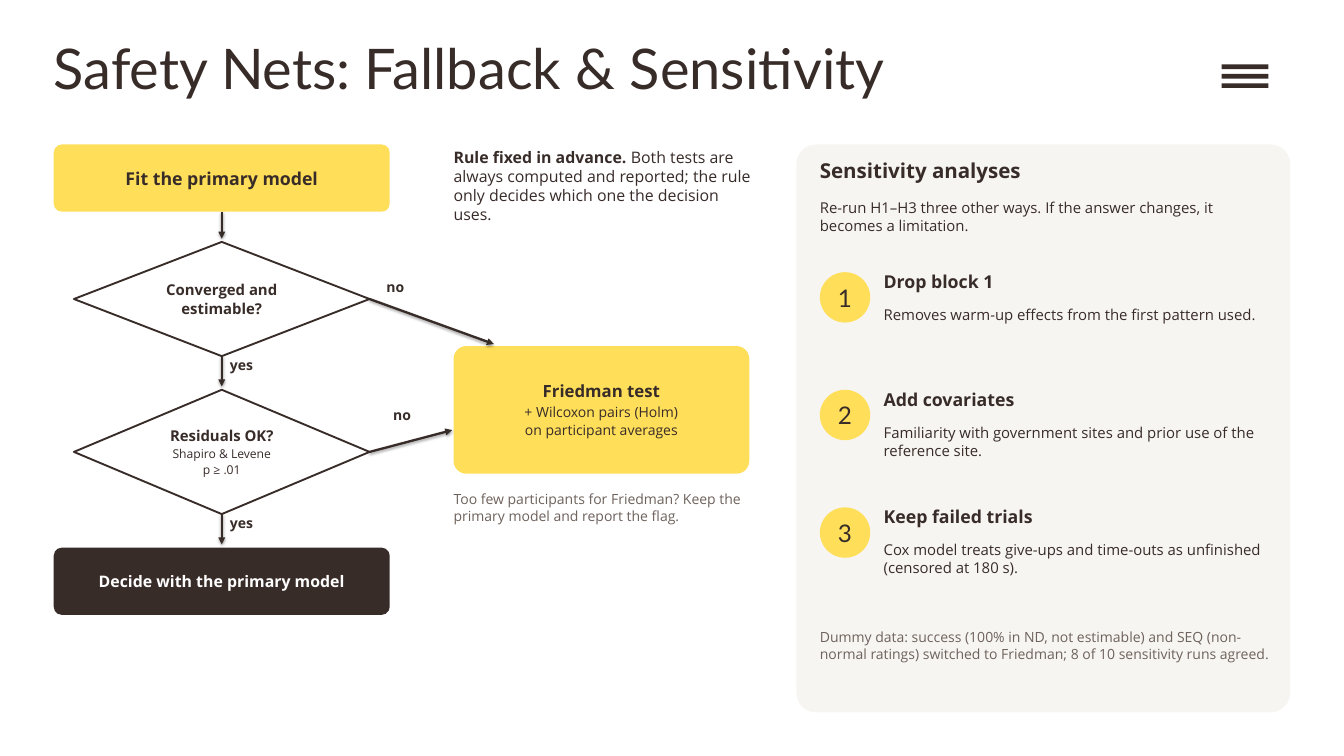
from lxml import etree
from pptx import Presentation
from pptx.dml.color import RGBColor
from pptx.enum.shapes import MSO_CONNECTOR, MSO_SHAPE
from pptx.enum.text import MSO_ANCHOR, MSO_AUTO_SIZE, PP_ALIGN
from pptx.oxml.ns import qn
from pptx.util import Pt

ROUNDED, DIAMOND = MSO_SHAPE.ROUNDED_RECTANGLE, MSO_SHAPE.DIAMOND
OVAL, RECTANGLE = MSO_SHAPE.OVAL, MSO_SHAPE.RECTANGLE
STRAIGHT = MSO_CONNECTOR.STRAIGHT
MIDDLE, CENTER, GROW = MSO_ANCHOR.MIDDLE, PP_ALIGN.CENTER, MSO_AUTO_SIZE.SHAPE_TO_FIT_TEXT
BOTTOM_SIDE, RIGHT_SIDE = 2, 3

COLORS = {"ink": "382C29", "accent": "FFDE59", "paper": "FFFFFF",
          "panel": "F7F5F1", "muted": "6E625C"}
HEADING_FONT, BODY_FONT = "Lato", "Open Sans"

ANALYSES = [
    ("Drop block 1", "Removes warm-up effects from the first pattern used."),
    ("Add covariates",
     "Familiarity with government sites and prior use of the reference site."),
    ("Keep failed trials",
     "Cox model treats give-ups and time-outs as unfinished (censored at 180 s)."),
]


def rgb(name):
    """Return the named colour."""
    return RGBColor.from_string(COLORS[name])


def style(para, size, bold, color, font, after):
    """Set the font and the space after a paragraph."""
    para.space_after = Pt(after)
    para.font.size, para.font.bold, para.font.name = Pt(size), bold, font
    para.font.color.rgb = rgb(color)


def add_text(page, box, text, size, bold=False, color="ink", font=BODY_FONT, lead="", after=6):
    """Add a text box without margins, with an optional bold lead-in."""
    label = page.shapes.add_textbox(*map(Pt, box))
    frame = label.text_frame
    frame.margin_left = frame.margin_top = frame.margin_right = frame.margin_bottom = 0
    frame.word_wrap, frame.auto_size = True, GROW
    para = frame.paragraphs[0]
    style(para, size, bold, color, font, after)
    if lead:
        span = para.add_run()
        span.text, span.font.bold = lead, True
    para.add_run().text = text


def add_node(shapes, kind, box, fill, lines=(), color="ink", font=BODY_FONT,
             side=10.8, outline=None, corner=None):
    """Add a filled shape with centred lines of (text, size, bold)."""
    node = shapes.add_shape(kind, *map(Pt, box))
    node.shadow.inherit = False
    node.fill.solid()
    node.fill.fore_color.rgb = rgb(fill)
    if outline:
        node.line.color.rgb, node.line.width = rgb(outline), Pt(2)
    else:
        node.line.fill.background()
    if corner:
        node.adjustments[0] = corner
    frame = node.text_frame
    frame.word_wrap, frame.vertical_anchor = True, MIDDLE
    frame.margin_left = frame.margin_right = Pt(side)
    frame.margin_top = frame.margin_bottom = Pt(4.32)
    for index, (text, size, bold) in enumerate(lines):
        para = frame.add_paragraph() if index else frame.paragraphs[0]
        para.alignment = CENTER
        style(para, size, bold, color, font, 2)
        para.add_run().text = text
    return node


def add_arrow(page, source, side, x, y):
    """Draw an arrow from the middle of a shape's side to a point."""
    arrow = page.shapes.add_connector(STRAIGHT, Pt(x), Pt(y), Pt(x), Pt(y))
    arrow.begin_connect(source, side)
    arrow.line.color.rgb, arrow.line.width = rgb("ink"), Pt(2.5)
    etree.SubElement(arrow.line._get_or_add_ln(), qn("a:tailEnd"), type="triangle")


def build_header(page, left, top, width):
    """Place the title and the three-bar menu icon."""
    add_text(page, (left, top, width, 97.2), "Safety Nets: Fallback & Sensitivity",
             60, font=HEADING_FONT, after=0)
    icon = page.shapes.add_group_shape()
    for row in range(3):
        add_node(icon.shapes, RECTANGLE, (left + 1251.4, top + 33.1 + row * 10.1, 50, 5), "ink")


def build_flow(page, left, top):
    """Place the decision flow with its fallback branch and remarks."""
    side_x, gap = left + 428.4, 3.6
    steps = [
        (ROUNDED, (left, top, 360, 72), "accent",
         [("Fit the primary model", 19, True)], "ink", None, 0.12),
        (DIAMOND, (left + 21.6, top + 104.4, 316.8, 122.4), "paper",
         [("Converged and", 16, True), ("estimable?", 16, True)], "ink", "ink", None),
        (DIAMOND, (left + 21.6, top + 262.8, 316.8, 133.2), "paper",
         [("Residuals OK?", 16, True), ("Shapiro & Levene", 13, False),
          ("p ≥ .01", 13, False)], "ink", "ink", None),
        (ROUNDED, (left, top + 432, 360, 72), "ink",
         [("Decide with the primary model", 17, True)], "paper", None, 0.12),
    ]
    nodes = [add_node(page.shapes, kind, box, fill, lines, color, outline=outline, corner=corner)
             for kind, box, fill, lines, color, outline, corner in steps]
    for node, (_, box, *_) in zip(nodes, steps[1:]):
        add_arrow(page, node, BOTTOM_SIDE, left + 180, box[1] - gap)
    for _, (_, y, _, height), *_ in steps[1:3]:
        add_text(page, (left + 188.64, y + height, 57.6, 28.8), "yes", 15, True)

    add_node(page.shapes, ROUNDED, (side_x, top + 216, 316.8, 136.8), "accent",
             [("Friedman test", 18, True), ("+ Wilcoxon pairs (Holm)", 15, False),
              ("on participant averages", 15, False)], corner=0.1)
    branches = [(nodes[1], 471.6, 213.84, 356.4, 144), (nodes[2], 426.96, 306, 363.6, 280.8)]
    for node, tip_x, tip_y, label_x, label_y in branches:
        add_arrow(page, node, RIGHT_SIDE, left + tip_x, top + tip_y)
        add_text(page, (left + label_x, top + label_y, 43.2, 28.8), "no", 15, True)

    add_text(page, (side_x, top + 370.8, 324, 172.8),
             "Too few participants for Friedman? Keep the primary model and report the flag.",
             15, color="muted")
    add_text(page, (side_x, top + 3.6, 324, 187.2),
             "Both tests are always computed and reported; "
             "the rule only decides which one the decision uses.",
             17, lead="Rule fixed in advance. ")


def build_panel(page, left, top, width, height):
    """Place the panel of numbered sensitivity analyses."""
    add_node(page.shapes, ROUNDED, (left, top, width, height), "panel", corner=0.04)
    inner, text_x, text_width = left + 25.2, left + 93.6, 489.6
    add_text(page, (inner, top + 14.4, text_width, 43.2), "Sensitivity analyses", 22, True)
    add_text(page, (inner, top + 57.6, text_width, 64.8),
             "Re-run H1–H3 three other ways. If the answer changes, it becomes a limitation.", 16)
    for index, (heading, detail) in enumerate(ANALYSES):
        y = top + 136.8 + index * 126
        add_node(page.shapes, OVAL, (inner, y, 54, 54), "accent",
                 [(str(index + 1), 26, False)], font=HEADING_FONT, side=0)
        add_text(page, (text_x, y - 1.44, 410.4, 36), heading, 19, True)
        add_text(page, (text_x, y + 36, 410.4, 79.2), detail, 16)
    add_text(page, (inner, top + 518.4, text_width, 86.4),
             "Dummy data: success (100% in ND, not estimable) and SEQ (non-normal ratings) "
             "switched to Friedman; 8 of 10 sensitivity runs agreed.", 15, color="muted")


def main():
    """Build the slide and save the deck."""
    deck = Presentation()
    deck.slide_width, deck.slide_height = Pt(1440), Pt(810)
    page = deck.slides.add_slide(deck.slide_layouts[6])
    build_header(page, 57.6, 36, 1188)
    build_flow(page, 57.6, 154.8)
    build_panel(page, 853.2, 154.8, 529.2, 608.4)
    deck.save("out.pptx")


if __name__ == "__main__":
    main()
